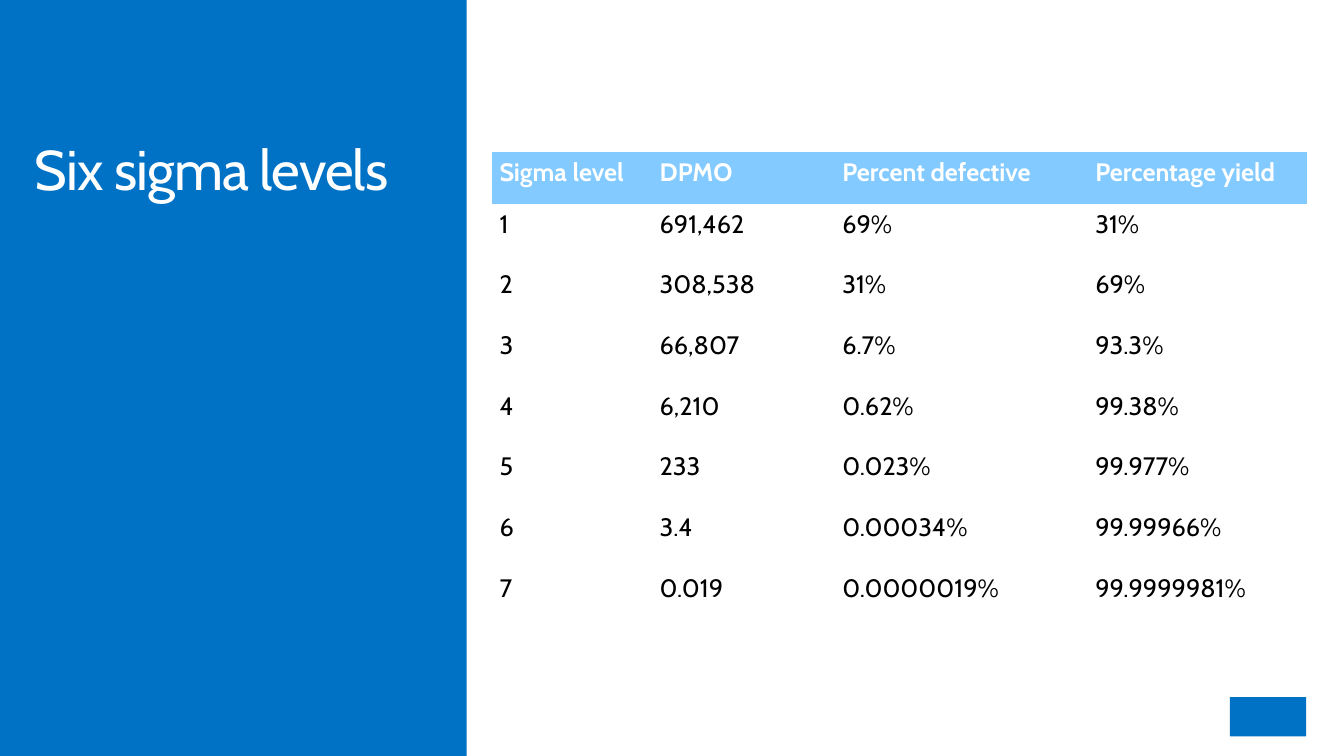
import pptx
import pptx.dml.color
import pptx.enum.shapes
import pptx.oxml.ns
import pptx.util

Pt = pptx.util.Pt
RGBColor = pptx.dml.color.RGBColor

BLUE = RGBColor(0x00, 0x72, 0xC6)
LIGHT_BLUE = RGBColor(0x82, 0xCA, 0xFF)
WHITE = RGBColor(0xFF, 0xFF, 0xFF)
BLACK = RGBColor(0x00, 0x00, 0x00)

FONT = "Cabin"
NO_STYLE_NO_GRID = "{2D5ABB26-0587-4C30-8999-92F81FD0307C}"

COLUMN_WIDTHS = (114.4, 130.5, 180.7, 156.4)
HEADER_HEIGHT = 37.2
SIGMA_LEVELS = (
    ("Sigma level", "DPMO", "Percent defective", "Percentage yield"),
    ("1", "691,462", "69%", "31%"),
    ("2", "308,538", "31%", "69%"),
    ("3", "66,807", "6.7%", "93.3%"),
    ("4", "6,210", "0.62%", "99.38%"),
    ("5", "233", "0.023%", "99.977%"),
    ("6", "3.4", "0.00034%", "99.99966%"),
    ("7", "0.019", "0.0000019%", "99.9999981%"),
)


def format_text(paragraph, size, color, bold=False):
    for run in paragraph.runs:
        run.font.name = FONT
        run.font.size = Pt(size)
        run.font.bold = bold
        run.font.color.rgb = color


def add_block(slide, left, top, width, height):
    """Add a plain blue rectangle without an outline."""
    block = slide.shapes.add_shape(
        pptx.enum.shapes.MSO_SHAPE.RECTANGLE,
        Pt(left), Pt(top), Pt(width), Pt(height))
    block.shadow.inherit = False
    block.fill.solid()
    block.fill.fore_color.rgb = BLUE
    block.line.fill.background()


def add_title_panel(slide, left, top, width, height):
    add_block(slide, left, top, width, height)
    title = slide.shapes.add_textbox(
        Pt(left + 25.7), Pt(top + 101.5), Pt(width - 35), Pt(43.2))
    text_frame = title.text_frame
    text_frame.word_wrap = True
    text_frame.margin_left = text_frame.margin_right = 0
    text_frame.margin_top = text_frame.margin_bottom = 0
    text_frame.text = "Six sigma levels"
    paragraph = text_frame.paragraphs[0]
    paragraph.line_spacing = 0.9
    format_text(paragraph, 39.9, WHITE)
    paragraph.runs[0].font._element.set("spc", "-70")


def fill_cell(cell, text, is_header):
    cell.margin_left = cell.margin_right = Pt(5.4)
    cell.margin_top = cell.margin_bottom = 0
    if is_header:
        cell.fill.solid()
        cell.fill.fore_color.rgb = LIGHT_BLUE
    else:
        cell.fill.background()
    cell.text_frame.text = text
    paragraph = cell.text_frame.paragraphs[0]
    paragraph.line_spacing = 1.15
    paragraph.space_after = Pt(10)
    format_text(paragraph, 18, WHITE if is_header else BLACK, is_header)


def add_sigma_table(slide, left, top, width, height):
    frame = slide.shapes.add_table(
        len(SIGMA_LEVELS), len(COLUMN_WIDTHS),
        Pt(left), Pt(top), Pt(width), Pt(height))
    style = frame._element.find(".//" + pptx.oxml.ns.qn("a:tableStyleId"))
    style.text = NO_STYLE_NO_GRID
    table = frame.table
    table.horz_banding = False
    for column, column_width in zip(table.columns, COLUMN_WIDTHS):
        column.width = Pt(column_width)
    body_height = (height - HEADER_HEIGHT) / (len(SIGMA_LEVELS) - 1)
    for row_index, values in enumerate(SIGMA_LEVELS):
        is_header = row_index == 0
        table.rows[row_index].height = Pt(
            HEADER_HEIGHT if is_header else body_height)
        for column_index, value in enumerate(values):
            fill_cell(table.cell(row_index, column_index), value, is_header)


def main():
    presentation = pptx.Presentation()
    presentation.slide_width = Pt(960)
    presentation.slide_height = Pt(540)
    slide = presentation.slides.add_slide(presentation.slide_layouts[6])
    add_title_panel(slide, -0.7, 0, 334, 540)
    add_block(slide, 878.5, 498, 54.5, 28)
    add_sigma_table(slide, 351.4, 108.7, sum(COLUMN_WIDTHS), 340.5)
    presentation.save("out.pptx")


if __name__ == "__main__":
    main()
